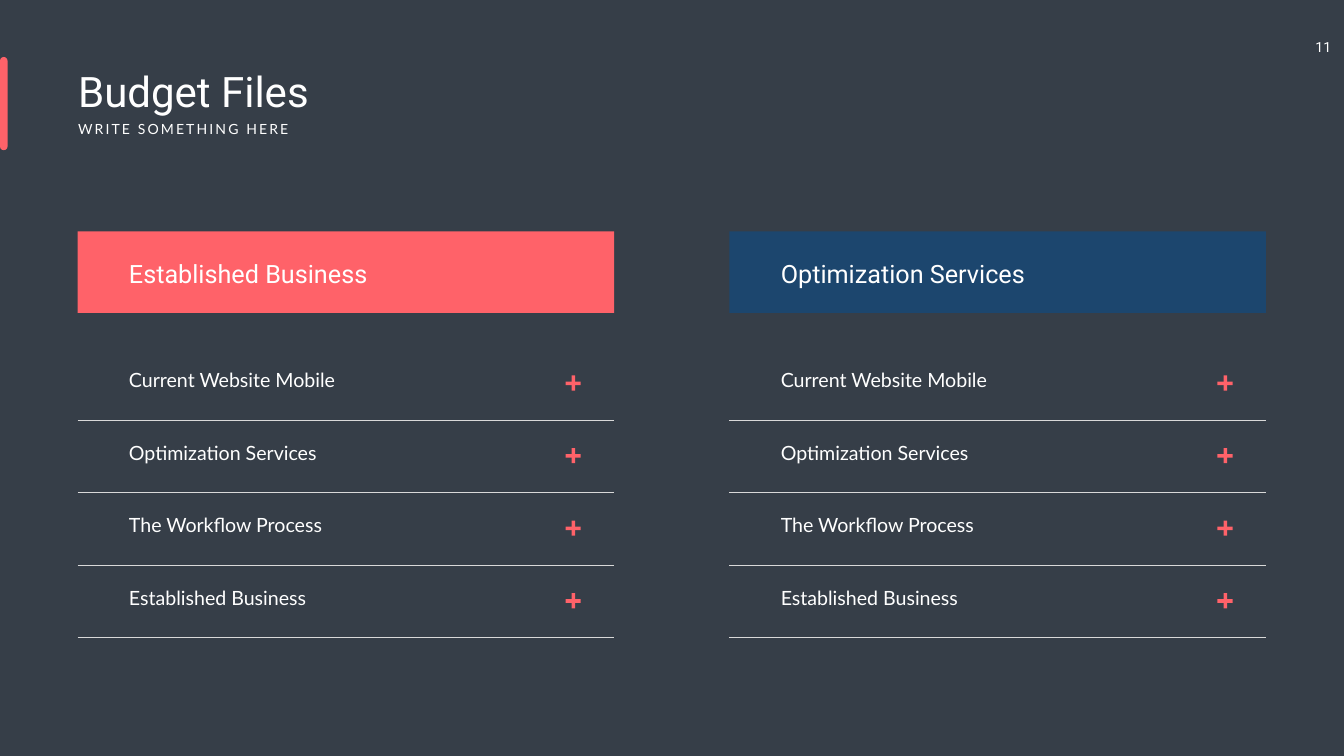
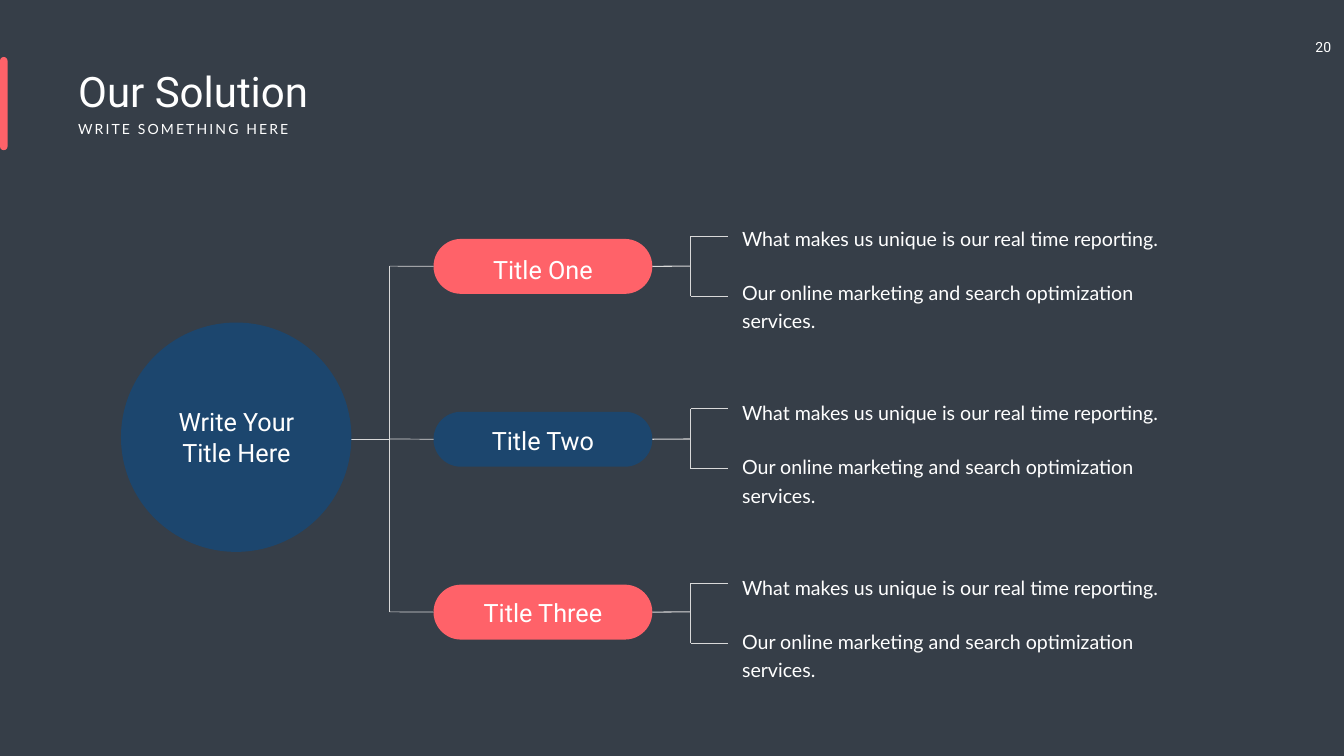
from dataclasses import dataclass

from lxml import etree
from pptx import Presentation
from pptx import util as u
from pptx.dml.color import RGBColor
from pptx.enum import shapes, text
from pptx.oxml.ns import qn

# Scale: 100 px to the inch
EMU_PER_PX = 9144

BACKGROUND = RGBColor(0x36, 0x3E, 0x48)
CORAL = RGBColor(0xFF, 0x62, 0x69)
NAVY = RGBColor(0x1C, 0x46, 0x6E)
WHITE = RGBColor(0xFF, 0xFF, 0xFF)
LINE_GREY = RGBColor(0xD9, 0xD9, 0xD9)

HEADING_FONT = "Roboto"
BODY_FONT = "Lato"
LEFT_ALIGN = text.PP_ALIGN.LEFT
CENTER_ALIGN = text.PP_ALIGN.CENTER
RECTANGLE = shapes.MSO_SHAPE.RECTANGLE
ROUNDED = shapes.MSO_SHAPE.ROUNDED_RECTANGLE
OVAL = shapes.MSO_SHAPE.OVAL


@dataclass(frozen=True)
class Box:
    left: int
    top: int
    width: int
    height: int

    def emu(self) -> list[u.Emu]:
        return [px(side) for side in (self.left, self.top, self.width, self.height)]


@dataclass(frozen=True)
class TextStyle:
    font: str
    size: int
    align: text.PP_ALIGN = LEFT_ALIGN
    margin_x: int = 10
    margin_y: int = 5
    tracking: int = 0
    line_points: float = 0


@dataclass(frozen=True)
class FileColumn:
    left: int
    heading: str
    color: RGBColor


@dataclass(frozen=True)
class Branch:
    title: str
    color: RGBColor
    title_top: int
    bracket_top: int


TITLE = TextStyle(HEADING_FONT, 60)
SUBTITLE = TextStyle(BODY_FONT, 20, tracking=300)
PAGE_NUMBER = TextStyle(HEADING_FONT, 20, CENTER_ALIGN, margin_y=10)
COLUMN_HEADING = TextStyle(HEADING_FONT, 36)
SHAPE_LABEL = TextStyle(HEADING_FONT, 36, CENTER_ALIGN)
ITEM = TextStyle(BODY_FONT, 28)
FIRST_POINT = TextStyle(BODY_FONT, 28, margin_x=24, margin_y=12, line_points=43)
SECOND_POINT = TextStyle(BODY_FONT, 28, margin_x=24, margin_y=12, line_points=40.8)

COLUMNS = [
    FileColumn(154, "Established Business", CORAL),
    FileColumn(1447, "Optimization Services", NAVY),
]
FILE_ITEMS = [
    "Current Website Mobile",
    "Optimization Services",
    "The Workflow Process",
    "Established Business",
]
COLUMN_WIDTH = 1064
ROW_STEP = 144

BRANCHES = [
    Branch("Title One", CORAL, 499, 469),
    Branch("Title Two", NAVY, 839, 811),
    Branch("Title Three", CORAL, 1180, 1157),
]
FIRST_TEXT = "What makes us unique is our real time reporting."
SECOND_TEXT = "Our online marketing and search optimization services."
PILL_STEP = 343
POINT_STEP = 346
TRUNK_X = 773
BRACKET_X = 1370
BRACKET_HEIGHT = 119


def px(length: int) -> u.Emu:
    return u.Emu(length * EMU_PER_PX)


# Drawing helpers
def write(shape, content: str, style: TextStyle) -> None:
    frame = shape.text_frame
    frame.text = content
    frame.word_wrap = True
    frame.auto_size = text.MSO_AUTO_SIZE.NONE
    frame.vertical_anchor = text.MSO_ANCHOR.TOP
    frame.margin_left = frame.margin_right = px(style.margin_x)
    frame.margin_top = frame.margin_bottom = px(style.margin_y)
    paragraph = frame.paragraphs[0]
    paragraph.alignment = style.align
    if style.line_points:
        paragraph.line_spacing = u.Pt(style.line_points)
    run = paragraph.runs[0]
    run.font.name = style.font
    run.font.size = u.Pt(style.size)
    run.font.color.rgb = WHITE
    if style.tracking:
        run._r.get_or_add_rPr().set("spc", str(style.tracking))


def add_text(slide, box: Box, content: str, style: TextStyle) -> None:
    write(slide.shapes.add_textbox(*box.emu()), content, style)


def add_block(slide, kind: shapes.MSO_SHAPE, box: Box, color: RGBColor):
    shape = slide.shapes.add_shape(kind, *box.emu())
    shape.shadow.inherit = False
    shape.fill.solid()
    shape.fill.fore_color.rgb = color
    shape.line.fill.background()
    if kind == ROUNDED:
        shape.adjustments[0] = 0.5
    return shape


def add_line(slide, start: tuple[int, int], end: tuple[int, int], points: float):
    line = slide.shapes.add_connector(
        shapes.MSO_CONNECTOR.STRAIGHT, *map(px, start), *map(px, end)
    )
    line.line.color.rgb = LINE_GREY
    line.line.width = u.Pt(points)
    etree.SubElement(line._element.spPr, qn("a:effectLst"))
    return line


def add_plus(slide, left: int, top: int) -> None:
    add_block(slide, RECTANGLE, Box(left, top + 12, 30, 7), CORAL)
    add_block(slide, RECTANGLE, Box(left + 12, top, 7, 30), CORAL)


# Title, subtitle, side tab and page number
def add_slide(presentation, title: str, number: int):
    slide = presentation.slides.add_slide(presentation.slide_layouts[5])
    slide.background.fill.solid()
    slide.background.fill.fore_color.rgb = BACKGROUND
    heading = slide.shapes.title
    heading.left, heading.top, heading.width, heading.height = Box(145, 124, 976, 111).emu()
    write(heading, title, TITLE)
    add_text(slide, Box(145, 235, 585, 44), "WRITE SOMETHING HERE", SUBTITLE)
    add_block(slide, ROUNDED, Box(0, 113, 15, 185), CORAL)
    add_text(slide, Box(2587, 67, 76, 54), str(number), PAGE_NUMBER)
    return slide


# Column with a heading bar and ruled rows
def add_column(slide, column: FileColumn) -> None:
    text_left = column.left + 92
    add_block(slide, RECTANGLE, Box(column.left, 459, COLUMN_WIDTH, 162), column.color)
    add_text(slide, Box(text_left, 507, 536, 71), column.heading, COLUMN_HEADING)
    for row, item in enumerate(FILE_ITEMS):
        offset = row * ROW_STEP
        rule_y = 833 + offset
        add_text(slide, Box(text_left, 725 + offset, 584, 57), item, ITEM)
        add_plus(slide, column.left + 968, 745 + offset)
        add_line(slide, (column.left, rule_y), (column.left + COLUMN_WIDTH, rule_y), 0.5)


# Pill with its link to the trunk, bracket and two points
def add_branch(slide, index: int, branch: Branch) -> None:
    pill_box = Box(860, 474 + index * PILL_STEP, 434, 109)
    middle = pill_box.top + pill_box.height // 2
    pill = add_block(slide, ROUNDED, pill_box, branch.color)
    add_text(slide, Box(933, branch.title_top, 288, 71), branch.title, SHAPE_LABEL)

    add_line(slide, (TRUNK_X, middle), (860, middle), 1).end_connect(pill, 1)
    add_line(slide, (1294, middle), (BRACKET_X, middle), 1.5).begin_connect(pill, 3)
    bracket_bottom = branch.bracket_top + BRACKET_HEIGHT
    add_line(slide, (BRACKET_X, branch.bracket_top), (BRACKET_X, bracket_bottom), 1.5)
    for y in (branch.bracket_top, bracket_bottom):
        add_line(slide, (BRACKET_X, y), (1444, y), 1.5)

    point_top = 425 + index * POINT_STEP
    add_text(slide, Box(1448, point_top, 884, 79), FIRST_TEXT, FIRST_POINT)
    add_text(slide, Box(1448, point_top + 110, 978, 75), SECOND_TEXT, SECOND_POINT)


def build_budget_files(presentation) -> None:
    slide = add_slide(presentation, "Budget Files", 11)
    for column in COLUMNS:
        add_column(slide, column)


def build_solution(presentation) -> None:
    slide = add_slide(presentation, "Our Solution", 20)
    add_line(slide, (TRUNK_X, 528), (TRUNK_X, 1214), 1)
    add_line(slide, (624, 871), (TRUNK_X, 871), 1)
    add_block(slide, OVAL, Box(240, 640, 457, 455), NAVY)
    add_text(slide, Box(325, 802, 288, 131), "Write Your Title Here", SHAPE_LABEL)
    for index, branch in enumerate(BRANCHES):
        add_branch(slide, index, branch)


def main() -> None:
    presentation = Presentation()
    presentation.slide_width = px(2666)
    presentation.slide_height = px(1500)
    build_budget_files(presentation)
    build_solution(presentation)
    presentation.save("out.pptx")


if __name__ == "__main__":
    main()
